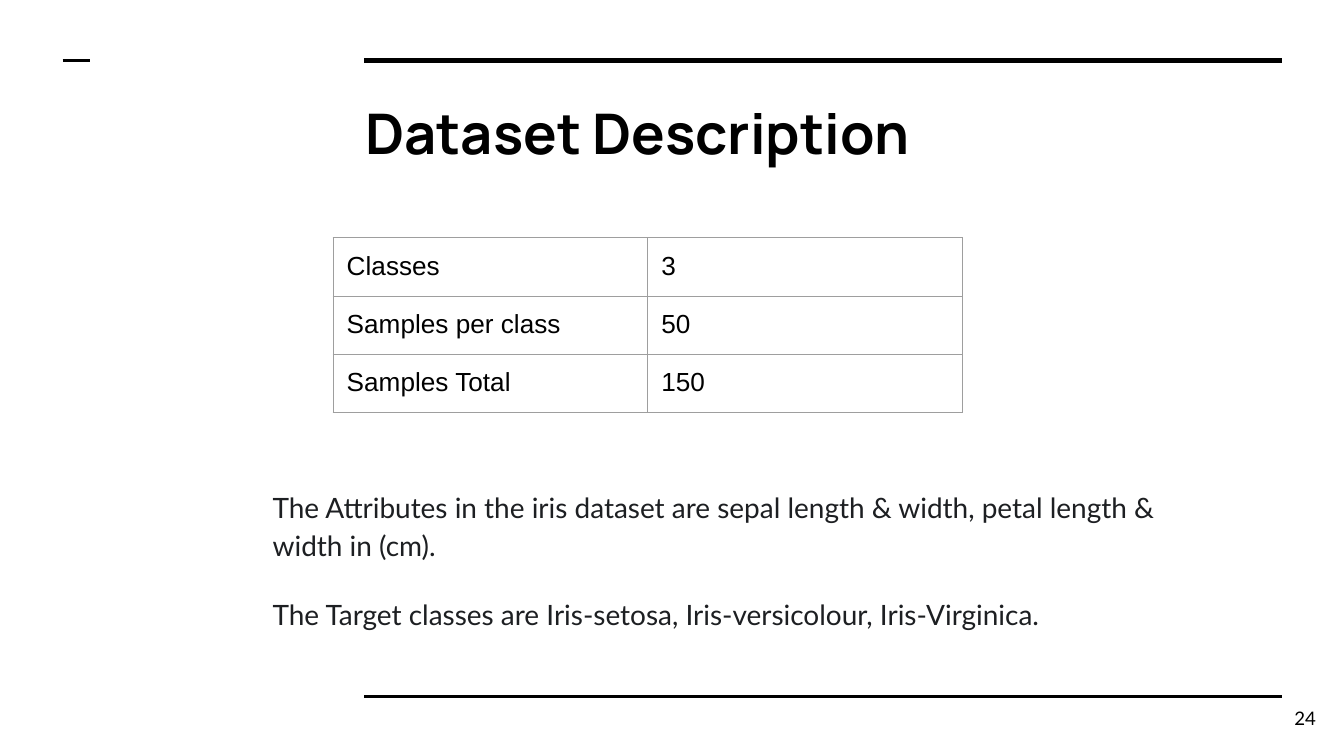
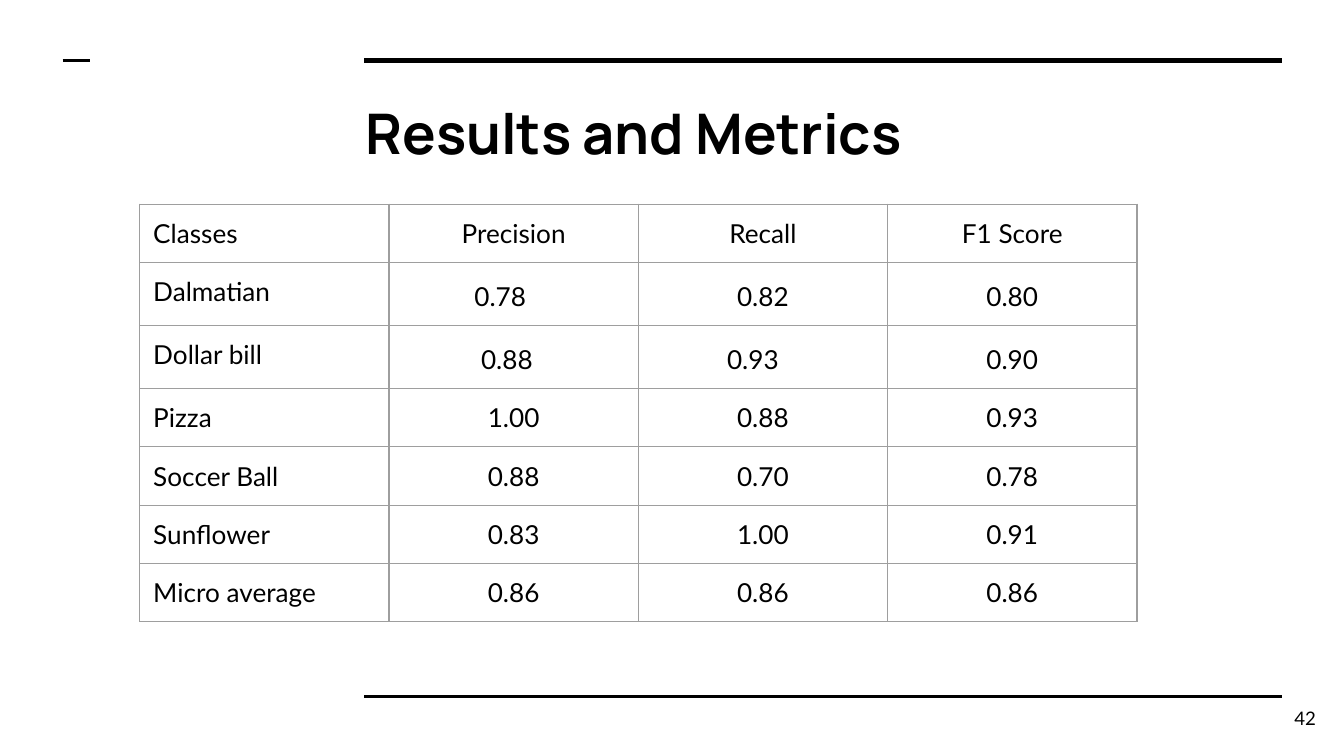
from lxml.etree import SubElement
from pptx import Presentation
from pptx.dml.color import RGBColor
from pptx.enum.shapes import MSO_CONNECTOR
from pptx.enum.text import MSO_ANCHOR, PP_ALIGN
from pptx.oxml import parse_xml
from pptx.oxml.ns import nsdecls, qn
from pptx.util import Pt

BLACK = RGBColor(0x00, 0x00, 0x00)
INK = RGBColor(0x1D, 0x1F, 0x22)
GRID = RGBColor(0x9E, 0x9E, 0x9E)

TITLE_FONT = "Manrope"
BODY_FONT = "Lato"
TABLE_FONT = "Arial"
INSET = 7.2

# Boxes are left, top, width, height in points.
TITLE_BOX = (188.64, 45.36, 497.5, 49.68)
NUMBER_BOX = (668.9, 369.4, 43.2, 31)
NOTES_BOX = (138.96, 127.44, 497.5, 236.16)
SUMMARY_BOX = (178.56, 127.44, 337, 90.72)
METRICS_BOX = (74.88, 109.44, 534.2, 211.68)

# Rules are start, end, height on the page and weight in points.
RULES = [
    (195.12, 686.88, 32.4, 3),
    (195.12, 686.88, 372.96, 1.5),
    (33.6, 48.2, 32.4, 1.5),
]

SUMMARY = [
    ("Classes", "3"),
    ("Samples per class", "50"),
    ("Samples Total", "150"),
]
NOTES = [
    "The Attributes in the iris dataset are sepal length & width, "
    "petal length & width in (cm).",
    "The Target classes are Iris-setosa, Iris-versicolour, Iris-Virginica.",
]
METRICS = [
    ("Classes", "Precision", "Recall", "F1 Score"),
    ("Dalmatian", "0.78", "0.82", "0.80"),
    ("Dollar bill", "0.88", "0.93", "0.90"),
    ("Pizza", "1.00", "0.88", "0.93"),
    ("Soccer Ball", "0.88", "0.70", "0.78"),
    ("Sunflower", "0.83", "1.00", "0.91"),
    ("Micro average", "0.86", "0.86", "0.86"),
]
LOOSE_ROWS = (1, 2)
# Extra right margin by (row, column) for values left of centre.
NUDGES = {(1, 1): 14.4, (2, 1): 7.2, (2, 2): 10.8}


def write(frame, texts, *, font, size, color=BLACK, bold=False,
          align=PP_ALIGN.LEFT, spacing=None, before=0):
    for index, text in enumerate(texts):
        para = frame.add_paragraph() if index else frame.paragraphs[0]
        para.alignment = align
        para.space_before = Pt(before)
        if spacing:
            para.line_spacing = spacing
        span = para.add_run()
        span.text = text
        span.font.name = font
        span.font.size = Pt(size)
        span.font.bold = bold
        span.font.color.rgb = color


def add_text(page, box, texts, *, anchor=MSO_ANCHOR.TOP, bottom=INSET, **style):
    frame = page.shapes.add_textbox(*map(Pt, box)).text_frame
    frame.word_wrap = True
    frame.vertical_anchor = anchor
    frame.margin_left = frame.margin_right = frame.margin_top = Pt(INSET)
    frame.margin_bottom = Pt(bottom)
    write(frame, texts, **style)


def add_rule(page, start, end, height, weight):
    rule = page.shapes.add_connector(
        MSO_CONNECTOR.STRAIGHT, Pt(start), Pt(height), Pt(end), Pt(height))
    rule.line.color.rgb = BLACK
    rule.line.width = Pt(weight)
    SubElement(rule._element.spPr, qn("a:effectLst"))


def add_borders(cell):
    properties = cell._tc.get_or_add_tcPr()
    for index, side in enumerate("LRTB"):
        properties.insert(index, parse_xml(
            f'<a:ln{side} {nsdecls("a")} w="{Pt(0.75)}"><a:solidFill>'
            f'<a:srgbClr val="{GRID}"/></a:solidFill></a:ln{side}>'))


def add_grid(page, box, rows, *, font, value_align=PP_ALIGN.LEFT,
             loose_rows=(), nudges=None):
    """Add a bordered table with equal columns and rows filling the box."""
    nudges = nudges or {}
    table = page.shapes.add_table(
        len(rows), len(rows[0]), *map(Pt, box)).table
    table.first_row = table.horz_banding = False
    for column in table.columns:
        column.width = Pt(box[2] / len(rows[0]))
    for row_index, texts in enumerate(rows):
        table.rows[row_index].height = Pt(box[3] / len(rows))
        for column_index, text in enumerate(texts):
            cell = table.cell(row_index, column_index)
            cell.fill.background()
            add_borders(cell)
            nudge = nudges.get((row_index, column_index), 0)
            cell.margin_left = cell.margin_top = cell.margin_bottom = Pt(INSET)
            cell.margin_right = Pt(INSET + nudge)
            is_value = column_index > 0
            write(cell.text_frame, [text], font=font, size=14,
                  align=value_align if is_value else PP_ALIGN.LEFT,
                  spacing=1.15 if is_value and row_index in loose_rows else None)


def add_page(deck, title, number):
    """Add a page with the shared rules, title and page number."""
    page = deck.slides.add_slide(deck.slide_layouts[6])
    for rule in RULES:
        add_rule(page, *rule)
    add_text(page, TITLE_BOX, [title], font=TITLE_FONT, size=30, bold=True)
    add_text(page, NUMBER_BOX, [number], font=BODY_FONT, size=10,
             align=PP_ALIGN.RIGHT, anchor=MSO_ANCHOR.MIDDLE)
    return page


def add_dataset_page(deck):
    page = add_page(deck, "Dataset Description", "24")
    add_text(page, NOTES_BOX, NOTES, font=BODY_FONT, size=15, color=INK,
             spacing=1.15, before=16, anchor=MSO_ANCHOR.BOTTOM, bottom=25.5)
    add_grid(page, SUMMARY_BOX, SUMMARY, font=TABLE_FONT)


def add_results_page(deck):
    page = add_page(deck, "Results and Metrics", "42")
    add_grid(page, METRICS_BOX, METRICS, font=BODY_FONT,
             value_align=PP_ALIGN.CENTER, loose_rows=LOOSE_ROWS, nudges=NUDGES)


def main():
    deck = Presentation()
    deck.slide_width, deck.slide_height = Pt(720), Pt(405)
    add_dataset_page(deck)
    add_results_page(deck)
    deck.save("out.pptx")


if __name__ == "__main__":
    main()
